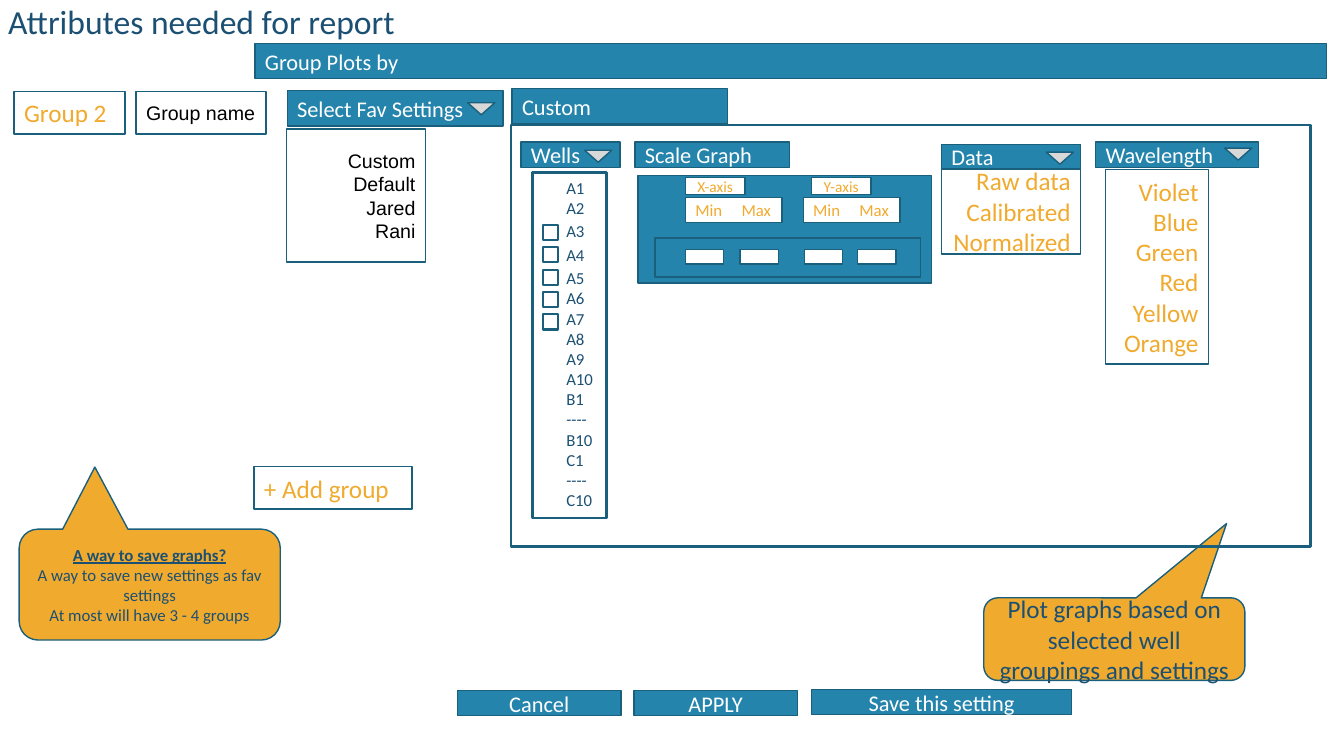
from dataclasses import dataclass

from lxml import etree
from pptx import Presentation
from pptx.dml.color import RGBColor
from pptx.enum.shapes import MSO_SHAPE as Shp
from pptx.enum.text import MSO_ANCHOR as Anchor, MSO_AUTO_SIZE as AutoSize, PP_ALIGN as Align
from pptx.oxml.ns import qn
from pptx.util import Pt

TEAL, EDGE, GOLD, NAVY = "2484AC", "1A607D", "F0AA2E", "1C5073"
WHITE, BLACK, GREY = "FFFFFF", "000000", "D8D8D8"
TAB = 33


@dataclass(frozen=True)
class Style:
    fill: str | None = None
    color: str = GOLD
    size: float = 18
    align: Align = Align.LEFT
    font: str = "Calibri"
    line: float = 1
    shape: Shp = Shp.RECTANGLE


@dataclass(frozen=True)
class Box:
    x: float
    y: float
    w: float
    h: float
    style: Style
    text: str = ""
    adj: tuple[float, ...] = ()


HEADER = Style(TEAL, WHITE, 16)
BUTTON = Style(TEAL, WHITE, 16, Align.CENTER)
GOLD_BOX = Style()
GOLD_LIST = Style(align=Align.RIGHT)
PLAIN_BOX = Style(color=BLACK, size=14, font="Arial")
PLAIN_LIST = Style(color=BLACK, size=14, align=Align.RIGHT, font="Arial")
AXIS = Style(WHITE, size=11, align=Align.CENTER)
MIN_MAX = Style(WHITE, size=12)
FIELD = Style(WHITE)
FRAME = Style()
THICK = Style(line=2)
CHECK = Style(line=1.5)
ARROW = Style(GREY, shape=Shp.FLOWCHART_MERGE)
NOTE = Style(GOLD, NAVY, 12, Align.CENTER, shape=Shp.ROUNDED_RECTANGULAR_CALLOUT)
BIG_NOTE = Style(GOLD, NAVY, 18, Align.CENTER, shape=Shp.ROUNDED_RECTANGULAR_CALLOUT)


def rgb(hex_color: str) -> RGBColor:
    return RGBColor.from_string(hex_color)


def write(p, text: str, *, size: float, color: str, font: str = "Calibri",
          align: Align = Align.LEFT, bold: bool = False, before: float = 0) -> None:
    p.alignment = align
    if before:
        p.space_before = Pt(before)
    if "\t" in text:
        tabs = etree.SubElement(p._p.get_or_add_pPr(), qn("a:tabLst"))
        etree.SubElement(tabs, qn("a:tab"), pos=str(Pt(TAB)), algn="l")
    r = p.add_run()
    r.text = text
    r.font.size, r.font.name = Pt(size), font
    r.font.bold = r.font.underline = bold
    r.font.color.rgb = rgb(color)


def next_paragraph(tf, i: int):
    return tf.add_paragraph() if i else tf.paragraphs[0]


def draw(s, box: Box) -> None:
    st = box.style
    sp = s.shapes.add_shape(st.shape, Pt(box.x), Pt(box.y), Pt(box.w), Pt(box.h))
    sp.shadow.inherit = False
    for i, value in enumerate(box.adj):
        sp.adjustments[i] = value
    if st.fill:
        sp.fill.solid()
        sp.fill.fore_color.rgb = rgb(st.fill)
    else:
        sp.fill.background()
    sp.line.color.rgb = rgb(EDGE)
    sp.line.width = Pt(st.line)
    if not box.text:
        return
    tf = sp.text_frame
    tf.word_wrap = True
    tf.vertical_anchor = Anchor.MIDDLE
    if "\t" in box.text:
        tf.margin_right = 0
    for i, text in enumerate(box.text.split("\n")):
        write(next_paragraph(tf, i), text, size=st.size, color=st.color, font=st.font,
              align=st.align, bold=st is NOTE and i == 0)


def arrow(x: float, y: float) -> Box:
    return Box(x, y, 19.4, 8.6, ARROW)


def add_title(s) -> None:
    sp = s.shapes.title
    sp.left, sp.top, sp.width, sp.height = Pt(-1.4), Pt(-7.2), Pt(828), Pt(48.2)
    tf = sp.text_frame
    tf.auto_size = AutoSize.NONE
    tf.vertical_anchor = Anchor.MIDDLE
    p = tf.paragraphs[0]
    p.line_spacing = 0.9
    write(p, "Attributes needed for report", size=24, color=NAVY)


def add_well_names(s) -> None:
    tf = s.shapes.add_textbox(Pt(397.4), Pt(123.1), Pt(34.6), Pt(247)).text_frame
    tf.word_wrap = True
    names = [f"A{n}" for n in range(1, 11)] + ["B1 ---- B10", "C1 ---- C10"]
    for i, name in enumerate(names):
        write(next_paragraph(tf, i), name, size=12, color=NAVY,
              before=2.4 if name in ("A3", "A4", "A5") else 0)


# Data menu, graph scale and wavelength menu
SETTINGS = [
    Box(672.5, 103, 99.4, 18, HEADER, "Data"),
    arrow(747.4, 108.7),
    Box(672.5, 120.2, 99.4, 61.2, GOLD_LIST, "Raw data\nCalibrated\nNormalized"),
    Box(455.8, 125.3, 209.5, 77, HEADER),
    Box(468, 170, 189.4, 28, FRAME),
    *(Box(x, 126.7, 42.5, 12.2, AXIS, name)
      for x, name in ((489.6, "X-axis"), (579.6, "Y-axis"))),
    *(Box(x, 141.1, 69.1, 18, MIN_MAX, "Min\tMax") for x in (489.6, 573.8)),
    *(Box(x, 178.4, 27.4, 10.1, FIELD) for x in (489.6, 528.5, 574.6, 612.7)),
    Box(182.2, 31, 765.4, 25.2, HEADER, "Group Plots by"),
    Box(782.6, 101.5, 116.6, 18, HEADER, "Wavelength"),
    arrow(874.8, 105.8),
    Box(789.8, 121, 73.4, 139, GOLD_LIST, "Violet\nBlue\nGreen\nRed\nYellow\nOrange"),
    Box(453.6, 101.5, 110.2, 18, HEADER, "Scale Graph"),
]

# Groups, favourites, buttons and callouts
CONTROLS = [
    Box(10.1, 65.5, 79.2, 30.2, GOLD_BOX, "Group 2"),
    Box(97.2, 65.5, 92.9, 30.2, PLAIN_BOX, "Group name"),
    Box(181.4, 333.4, 113, 30.2, GOLD_BOX, "+ Add group"),
    Box(326.9, 493.2, 116.6, 18, BUTTON, "Cancel"),
    Box(452.9, 493.2, 116.6, 18, BUTTON, "APPLY"),
    Box(579.6, 492.5, 185.8, 18, BUTTON, "Save this setting"),
    Box(13.7, 378, 186.5, 79.2, NOTE,
        "A way to save graphs?\nA way to save new settings as fav settings\n"
        "At most will have 3 - 4 groups", (-0.21, -1.06, 0.17)),
    Box(702.7, 427, 186.5, 59, BIG_NOTE,
        "Plot graphs based on selected well groupings and settings", (0.43, -1.4, 0.17)),
    Box(205.2, 64.8, 154.1, 25.2, HEADER, "Select Fav Settings"),
    arrow(334.1, 73.4),
    Box(204.5, 92.2, 99.4, 95, PLAIN_LIST, "Custom\nDefault\nJared\nRani"),
]

# Wells menu and the custom panel around all settings
PANEL = [
    *(Box(387.6, 160.6 + 16 * i, 10.8, 10.8, CHECK) for i in range(5)),
    Box(380.2, 123.1, 53.3, 247, THICK),
    Box(372.2, 101.5, 70.6, 18, HEADER, "Wells"),
    arrow(417.6, 107.3),
    Box(365, 89.3, 571, 301, THICK),
    Box(365.8, 63.4, 154.1, 25.2, HEADER, "Custom"),
]


def main() -> None:
    prs = Presentation()
    prs.slide_width, prs.slide_height = Pt(960), Pt(540)
    s = prs.slides.add_slide(prs.slide_layouts[5])
    add_title(s)
    for box in SETTINGS + CONTROLS:
        draw(s, box)
    add_well_names(s)
    for box in PANEL:
        draw(s, box)
    prs.save("out.pptx")


if __name__ == "__main__":
    main()
